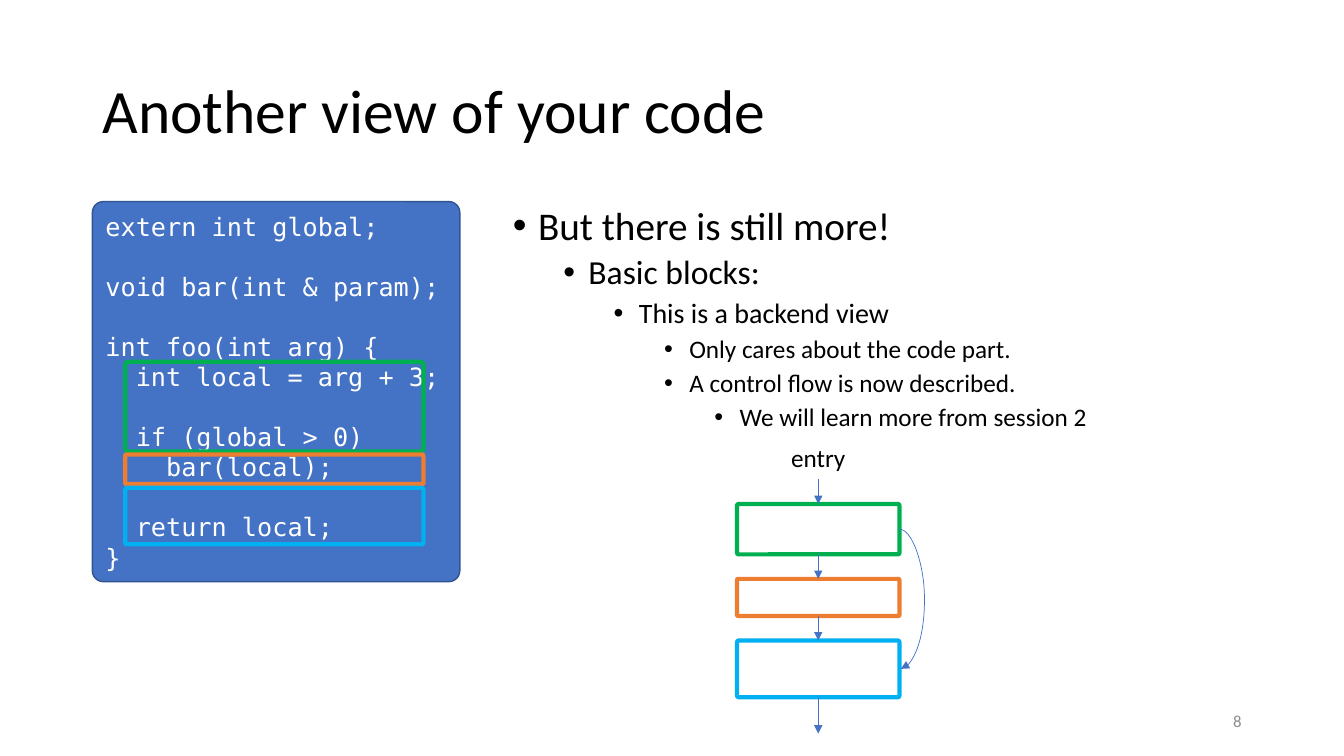
from dataclasses import dataclass

from lxml.etree import SubElement
from pptx import Presentation
from pptx.dml.color import RGBColor
from pptx.enum.shapes import MSO_CONNECTOR, MSO_SHAPE
from pptx.enum.text import MSO_ANCHOR, PP_ALIGN
from pptx.oxml.ns import qn
from pptx.util import Pt


@dataclass(frozen=True)
class Theme:
    text_font: str = "Calibri"
    code_font: str = "DejaVu Sans Mono"
    black: str = "000000"
    white: str = "FFFFFF"
    gray: str = "8C8C8C"
    blue: str = "4472C4"
    dark_blue: str = "325491"
    green: str = "00B050"
    orange: str = "ED7D31"
    light_blue: str = "00B0F0"
    title_size: int = 44
    level_sizes: tuple = (28, 24, 20, 18, 18)
    label_size: int = 18
    number_size: int = 12


theme = Theme()


def format_text(paragraph, size, color=theme.black, font=theme.text_font):
    for run in paragraph.runs:
        run.font.name = font
        run.font.size = Pt(size)
        run.font.color.rgb = RGBColor.from_string(color)


def add_box(left, top, width, height, line_color, line_width, fill_color=None):
    shape = slide.shapes.add_shape(
        MSO_SHAPE.ROUNDED_RECTANGLE, Pt(left), Pt(top), Pt(width), Pt(height))
    shape.adjustments[0] = 0.03
    shape.shadow.inherit = False
    shape.line.color.rgb = RGBColor.from_string(line_color)
    shape.line.width = Pt(line_width)
    if fill_color:
        shape.fill.solid()
        shape.fill.fore_color.rgb = RGBColor.from_string(fill_color)
    else:
        shape.fill.background()
    return shape


presentation = Presentation()
presentation.slide_width = Pt(960)
presentation.slide_height = Pt(540)
slide = presentation.slides.add_slide(presentation.slide_layouts[5])

# Title
title = slide.shapes.title
title.left, title.top, title.width, title.height = Pt(66), Pt(28.8), Pt(828), Pt(104.4)
title.text_frame.text = "Another view of your code"
title.text_frame.vertical_anchor = MSO_ANCHOR.MIDDLE
paragraph = title.text_frame.paragraphs[0]
paragraph.alignment = PP_ALIGN.LEFT
paragraph.line_spacing = 0.9
format_text(paragraph, theme.title_size)

# Bulleted text
bullets = [
    (0, "But there is still more!"),
    (1, "Basic blocks:"),
    (2, "This is a backend view"),
    (3, "Only cares about the code part."),
    (3, "A control flow is now described."),
    (4, "We will learn more from session 2"),
]
body = slide.shapes.add_textbox(Pt(359.3), Pt(144), Pt(535), Pt(342.7))
body.text_frame.word_wrap = True
body.text_frame.text = "\n".join(text for level, text in bullets)
for paragraph, (level, text) in zip(body.text_frame.paragraphs, bullets):
    paragraph.level = level
    paragraph.line_spacing = 0.9
    paragraph.space_before = Pt(5 if level else 10)
    format_text(paragraph, theme.level_sizes[level])
    properties = paragraph._p.get_or_add_pPr()
    properties.set("marL", str(Pt(18 + 36 * level)))
    properties.set("indent", str(Pt(-18)))
    SubElement(properties, qn("a:buFont"), typeface="Arial")
    SubElement(properties, qn("a:buChar"), char="•")

# Code listing: indent depth, blank lines before, text
code_lines = [
    (0, 0, "extern int global;"),
    (0, 1, "void bar(int & param);"),
    (0, 1, "int foo(int arg) {"),
    (1, 0, "int local = arg + 3;"),
    (1, 1, "if (global > 0)"),
    (2, 0, "bar(local);"),
    (1, 1, "return local;"),
    (0, 0, "}"),
]
line_height = 21.5
indent_width = 21.67
code_box = add_box(66, 144, 262.5, 271.5, theme.dark_blue, 1, theme.blue)
code_box.text_frame.word_wrap = True
code_box.text_frame.vertical_anchor = MSO_ANCHOR.MIDDLE
code_box.text_frame.text = "\n".join(text for depth, blanks, text in code_lines)
for paragraph, (depth, blanks, text) in zip(code_box.text_frame.paragraphs, code_lines):
    paragraph.alignment = PP_ALIGN.LEFT
    paragraph.line_spacing = Pt(line_height)
    paragraph.space_before = Pt(line_height * blanks)
    paragraph._p.get_or_add_pPr().set("marL", str(Pt(indent_width * depth)))
    format_text(paragraph, theme.label_size, theme.white, theme.code_font)

# Basic blocks: colour, code top, code height, flow height
blocks = [
    (theme.green, 258.5, 64, 36),
    (theme.orange, 324.7, 21, 26.5),
    (theme.light_blue, 348.5, 40.3, 40.5),
]
flow_left, flow_top, flow_width, flow_gap = 526.5, 360, 116, 17.5
flow_center = flow_left + flow_width / 2
flow_boxes = []
top = flow_top
for color, code_top, code_height, flow_height in blocks:
    add_box(89.5, code_top, 213, code_height, color, 3)
    flow_boxes.append(add_box(flow_left, top, flow_width, flow_height, color, 3))
    top += flow_height + flow_gap
flow_bottom = top - flow_gap

# Arrows: the straight chain, then the branch around the middle block
arrows = []
for source, target in zip([None] + flow_boxes, flow_boxes + [None]):
    arrow = slide.shapes.add_connector(
        MSO_CONNECTOR.STRAIGHT,
        Pt(flow_center), Pt(flow_top - 18), Pt(flow_center), Pt(flow_bottom + 26))
    if source:
        arrow.begin_connect(source, 2)
    if target:
        arrow.end_connect(target, 0)
    arrows.append(arrow)

flow_right = flow_left + flow_width
branch = slide.shapes.add_connector(
    MSO_CONNECTOR.CURVE,
    Pt(flow_right), Pt(flow_top + blocks[0][3] / 2),
    Pt(flow_right + 1), Pt(flow_bottom - blocks[-1][3] / 2))
guides = branch._element.spPr.find(qn("a:prstGeom")).get_or_add_avLst()
SubElement(guides, qn("a:gd"), name="adj1", fmla="val 1800000")
arrows.append(branch)

for arrow in arrows:
    arrow.line.color.rgb = RGBColor.from_string(theme.blue)
    arrow.line.width = Pt(0.5)
    SubElement(arrow.line._get_or_add_ln(), qn("a:tailEnd"), type="triangle")
    SubElement(arrow._element.spPr, qn("a:effectLst"))

# Entry label and slide number
labels = [
    ("entry", flow_left, 312.5, flow_width, PP_ALIGN.CENTER, theme.label_size, theme.black),
    ("8", 678, 500.5, 216, PP_ALIGN.RIGHT, theme.number_size, theme.gray),
]
for text, left, top, width, alignment, size, color in labels:
    label = slide.shapes.add_textbox(Pt(left), Pt(top), Pt(width), Pt(29))
    label.text_frame.word_wrap = True
    label.text_frame.vertical_anchor = MSO_ANCHOR.MIDDLE
    label.text_frame.text = text
    paragraph = label.text_frame.paragraphs[0]
    paragraph.alignment = alignment
    format_text(paragraph, size, color)

presentation.save("out.pptx")
